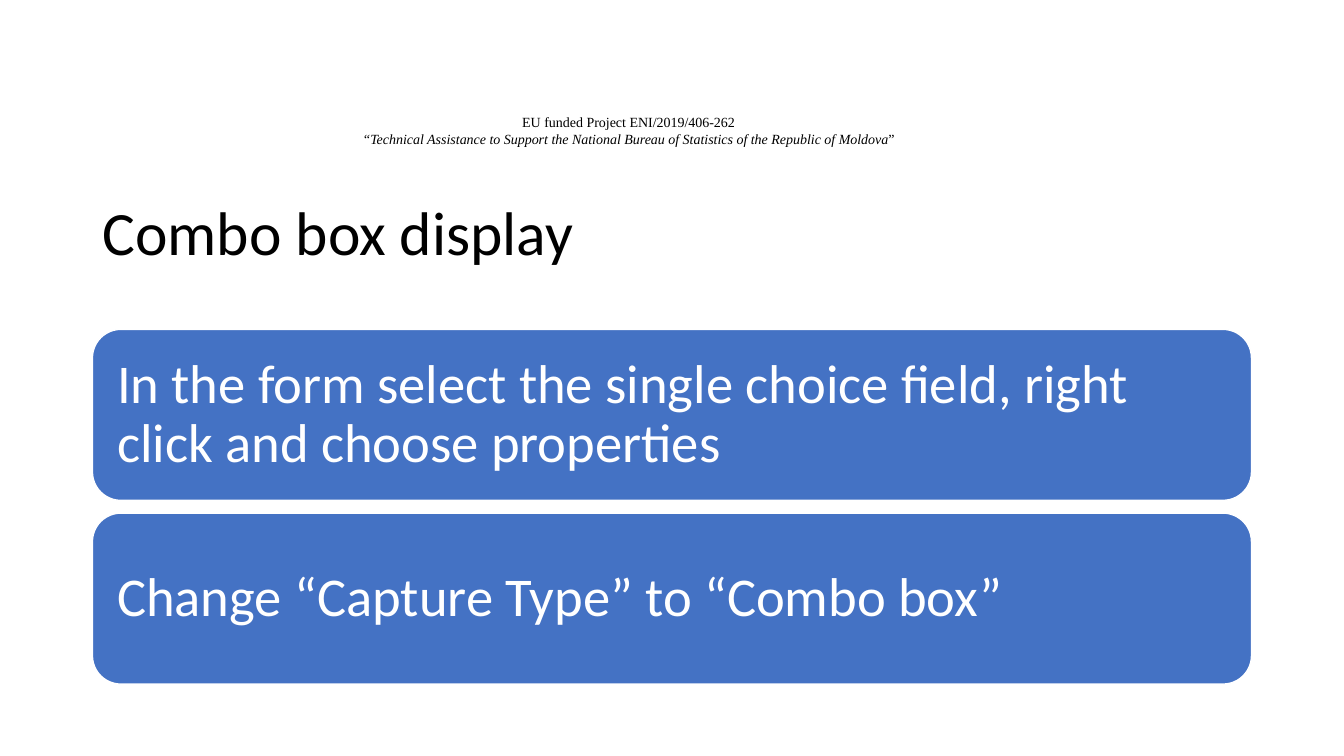
from pptx import Presentation
from pptx.dml.color import RGBColor
from pptx.enum.shapes import MSO_SHAPE
from pptx.enum.text import MSO_ANCHOR, PP_ALIGN
from pptx.util import Cm, Pt

ROUNDED = MSO_SHAPE.ROUNDED_RECTANGLE
MIDDLE = MSO_ANCHOR.MIDDLE
LEFT, CENTER = PP_ALIGN.LEFT, PP_ALIGN.CENTER

BLACK = RGBColor(0x00, 0x00, 0x00)
WHITE = RGBColor(0xFF, 0xFF, 0xFF)
BLUE = RGBColor(0x44, 0x72, 0xC4)

TITLE_ONLY = 5
MARGIN_LEFT, CONTENT_WIDTH = Cm(2.33), Cm(29.21)
STEP_TOP, STEP_HEIGHT, STEP_PITCH = Cm(8.3), Cm(4.31), Cm(4.63)
STEP_INSET = Cm(0.61)

PROJECT_LINES = [
    [("EU funded Project ENI/2019/406-262", False)],
    [("“Technical Assistance to Support the National Bureau of Statistics "
      "of the Republic of Moldova", True), ("”", False)],
]
STEPS = [
    "In the form select the single choice field, right click and choose properties",
    "Change “Capture Type” to “Combo box”",
]


def add_run(paragraph, text, font, size, color, italic=False):
    run = paragraph.add_run()
    run.text = text
    run.font.name = font
    run.font.size = Pt(size)
    run.font.color.rgb = color
    run.font.italic = italic


def add_project_header(slide):
    box = slide.shapes.add_textbox(Cm(7.37), Cm(2.74), Cm(16.94), Cm(1.12))
    frame = box.text_frame
    frame.word_wrap = True
    for index, line in enumerate(PROJECT_LINES):
        paragraph = frame.add_paragraph() if index else frame.paragraphs[0]
        paragraph.alignment = CENTER
        for text, italic in line:
            add_run(paragraph, text, "Times New Roman", 10, BLACK, italic)


def set_title(slide, text):
    title = slide.shapes.title
    title.left, title.top = MARGIN_LEFT, Cm(4.09)
    title.width, title.height = CONTENT_WIDTH, Cm(3.68)
    title.text_frame.vertical_anchor = MIDDLE
    paragraph = title.text_frame.paragraphs[0]
    paragraph.alignment = LEFT
    paragraph.line_spacing = 0.9
    add_run(paragraph, text, "Calibri", 44, BLACK)


def add_step(slide, top, text):
    shape = slide.shapes.add_shape(ROUNDED, MARGIN_LEFT, top, CONTENT_WIDTH, STEP_HEIGHT)
    shape.shadow.inherit = False
    shape.fill.solid()
    shape.fill.fore_color.rgb = BLUE
    shape.line.color.rgb = WHITE
    shape.line.width = Pt(1)
    frame = shape.text_frame
    frame.word_wrap = True
    frame.vertical_anchor = MIDDLE
    # The rounded corners already inset the text by about 0.2 cm
    frame.margin_left = frame.margin_right = STEP_INSET - Cm(0.2)
    frame.margin_top = frame.margin_bottom = STEP_INSET - Cm(0.2)
    paragraph = frame.paragraphs[0]
    paragraph.alignment = LEFT
    paragraph.line_spacing = 0.9
    add_run(paragraph, text, "Calibri", 39, WHITE)


def main():
    presentation = Presentation()
    presentation.slide_width, presentation.slide_height = Cm(33.87), Cm(19.05)
    slide = presentation.slides.add_slide(presentation.slide_layouts[TITLE_ONLY])

    # Project header and title
    add_project_header(slide)
    set_title(slide, "Combo box display")

    # Steps
    for index, text in enumerate(STEPS):
        add_step(slide, STEP_TOP + index * STEP_PITCH, text)

    presentation.save("out.pptx")


if __name__ == "__main__":
    main()
